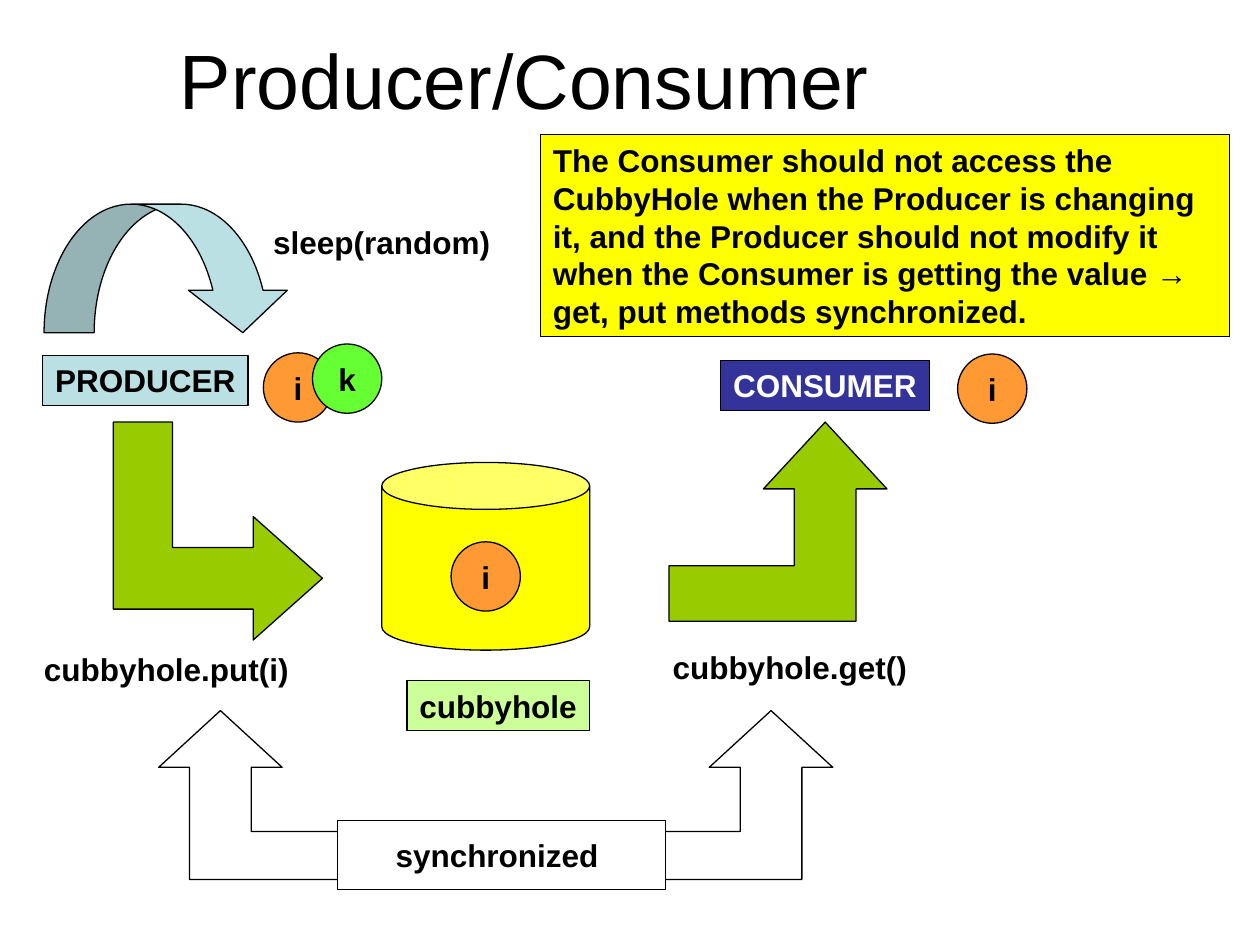
from dataclasses import dataclass

from pptx import Presentation
from pptx import util as u
from pptx.dml.color import RGBColor
from pptx.enum import shapes, text

KIND = shapes.MSO_SHAPE
ALIGN = text.PP_ALIGN
FIT = text.MSO_AUTO_SIZE


@dataclass(frozen=True)
class Theme:
    font: str = "Arial"
    head: int = 44
    body: int = 18
    line: float = 0.75
    ink: str = "000000"
    white: str = "FFFFFF"
    pale: str = "BBE0E3"
    navy: str = "333399"
    sun: str = "FFFF00"
    mint: str = "CCFF99"
    moss: str = "99CC00"
    lime: str = "66FF33"
    peach: str = "FF9933"


THEME = Theme()


def paint(shape, fill):
    """Give a shape a flat fill and a thin outline."""
    shape.shadow.inherit = False
    shape.fill.solid()
    shape.fill.fore_color.rgb = RGBColor.from_string(fill)
    shape.line.color.rgb = RGBColor.from_string(THEME.ink)
    shape.line.width = u.Pt(THEME.line)


def write(shape, words, size=THEME.body, color=THEME.ink, bold=True,
          mid=False, wrap=False):
    """Set one paragraph: centred, or top left in a box that fits it."""
    frame = shape.text_frame
    frame.text = words
    frame.word_wrap = wrap
    frame.auto_size = FIT.NONE if mid else FIT.SHAPE_TO_FIT_TEXT
    frame.vertical_anchor = (text.MSO_ANCHOR.MIDDLE if mid
                             else text.MSO_ANCHOR.TOP)
    para = frame.paragraphs[0]
    para.alignment = ALIGN.CENTER if mid else ALIGN.LEFT
    font = para.runs[0].font
    font.name, font.size, font.bold = THEME.font, u.Pt(size), bold
    font.color.rgb = RGBColor.from_string(color)


def block(slide, kind, box, fill):
    shape = slide.shapes.add_shape(kind, *map(u.Inches, box))
    paint(shape, fill)
    return shape


def label(slide, words, box, **style):
    shape = slide.shapes.add_textbox(*map(u.Inches, box))
    write(shape, words, **style)


def panel(slide, words, box, fill, **style):
    write(block(slide, KIND.RECTANGLE, box, fill), words, **style)


def ball(slide, words, left, top, fill=THEME.peach):
    shape = block(slide, KIND.OVAL, (left, top, 0.55, 0.55), fill)
    write(shape, words, mid=True)


def elbow(slide, fill, tail, mid, tip, neck, inner, outer, turn=False):
    """Draw a bent arrow that points up, or right when turned.

    It runs from tail to mid along one axis and on to tip along the other.
    """
    side = 1 if mid > tail else -1
    head, shaft = 0.49 * side, 0.245 * side
    points = [(tail, inner), (mid - shaft, inner), (mid - shaft, neck),
              (mid - head, neck), (mid, tip), (mid + head, neck),
              (mid + shaft, neck), (mid + shaft, outer), (tail, outer)]
    if turn:
        points = [(y, x) for x, y in points]
    points = [(u.Inches(x), u.Inches(y)) for x, y in points]
    pen = slide.shapes.build_freeform(*points[0])
    pen.add_line_segments(points[1:], close=True)
    paint(pen.convert_to_shape(), fill)


def main():
    deck = Presentation()
    deck.slide_width, deck.slide_height = u.Inches(10), u.Inches(7.5)
    slide = deck.slides.add_slide(deck.slide_layouts[6])

    # Title
    label(slide, "Producer/Consumer ", (0, 0, 8.5, 1.25), size=THEME.head,
          bold=False, mid=True, wrap=True)

    # Actors and the shared store
    panel(slide, "PRODUCER", (0.34, 2.82, 1.63, 0.4), THEME.pale)
    panel(slide, "CONSUMER", (5.72, 2.86, 1.66, 0.4), THEME.navy,
          color=THEME.white)
    block(slide, KIND.CAN, (3.03, 3.67, 1.65, 1.49), THEME.sun)
    panel(slide, "cubbyhole", (3.23, 5.4, 1.45, 0.4), THEME.mint)

    # Values on their way
    ball(slide, "i", 2.09, 2.8)
    ball(slide, "i", 3.58, 4.3)
    ball(slide, "i", 7.6, 2.81)
    ball(slide, "k", 2.48, 2.73, THEME.lime)

    # Put and get
    elbow(slide, THEME.moss, 3.35, 4.59, 2.56, 2.01, 1.37, 0.9, turn=True)
    label(slide, "cubbyhole.put(i)", (0.25, 5.11, 2.18, 0.4))
    elbow(slide, THEME.moss, 5.31, 6.55, 3.35, 3.88, 4.49, 4.93)
    label(slide, "cubbyhole.get()", (5.24, 5.09, 2.06, 0.4))

    # Sleep
    curve = block(slide, KIND.CURVED_DOWN_ARROW, (0.35, 1.62, 1.97, 1.02),
                  THEME.pale)
    for index, value in enumerate((0.39, 0.77, 0.33)):
        curve.adjustments[index] = value
    label(slide, "sleep(random)", (2.07, 1.72, 1.92, 0.4))

    # Lock on both calls
    for tail, mid in ((4.88, 6.12), (2.99, 1.75)):
        elbow(slide, THEME.white, tail, mid, 5.64, 6.09, 6.6, 6.98)
    panel(slide, "synchronized ", (2.68, 6.51, 2.6, 0.55), THEME.white,
          mid=True)

    # Rule
    panel(slide, "The Consumer should not access the CubbyHole when the "
          "Producer is changing it, and the Producer should not modify it "
          "when the Consumer is getting the value → get, put methods "
          "synchronized.", (4.29, 1.07, 5.47, 1.6), THEME.sun, wrap=True)

    deck.save("out.pptx")


if __name__ == "__main__":
    main()
